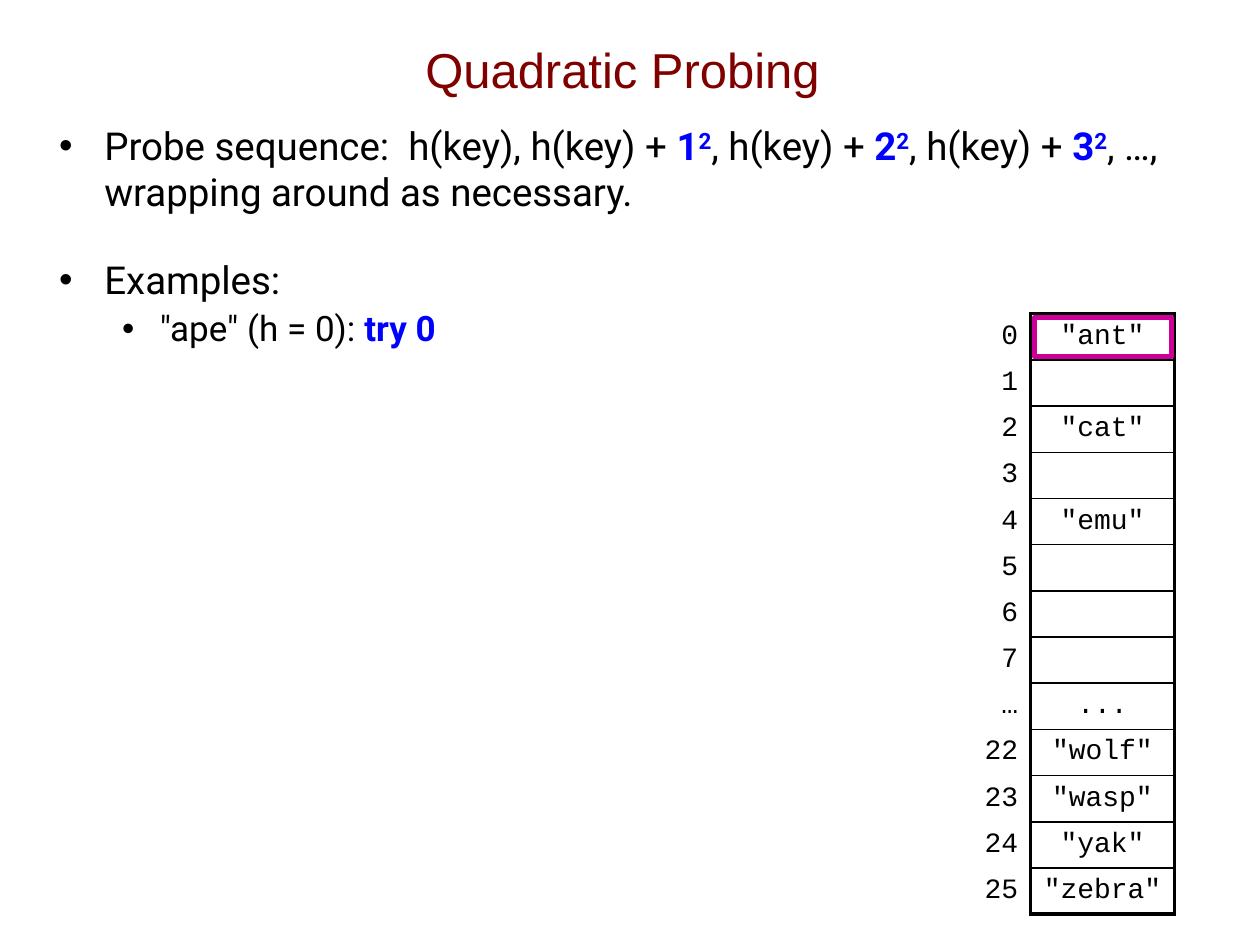
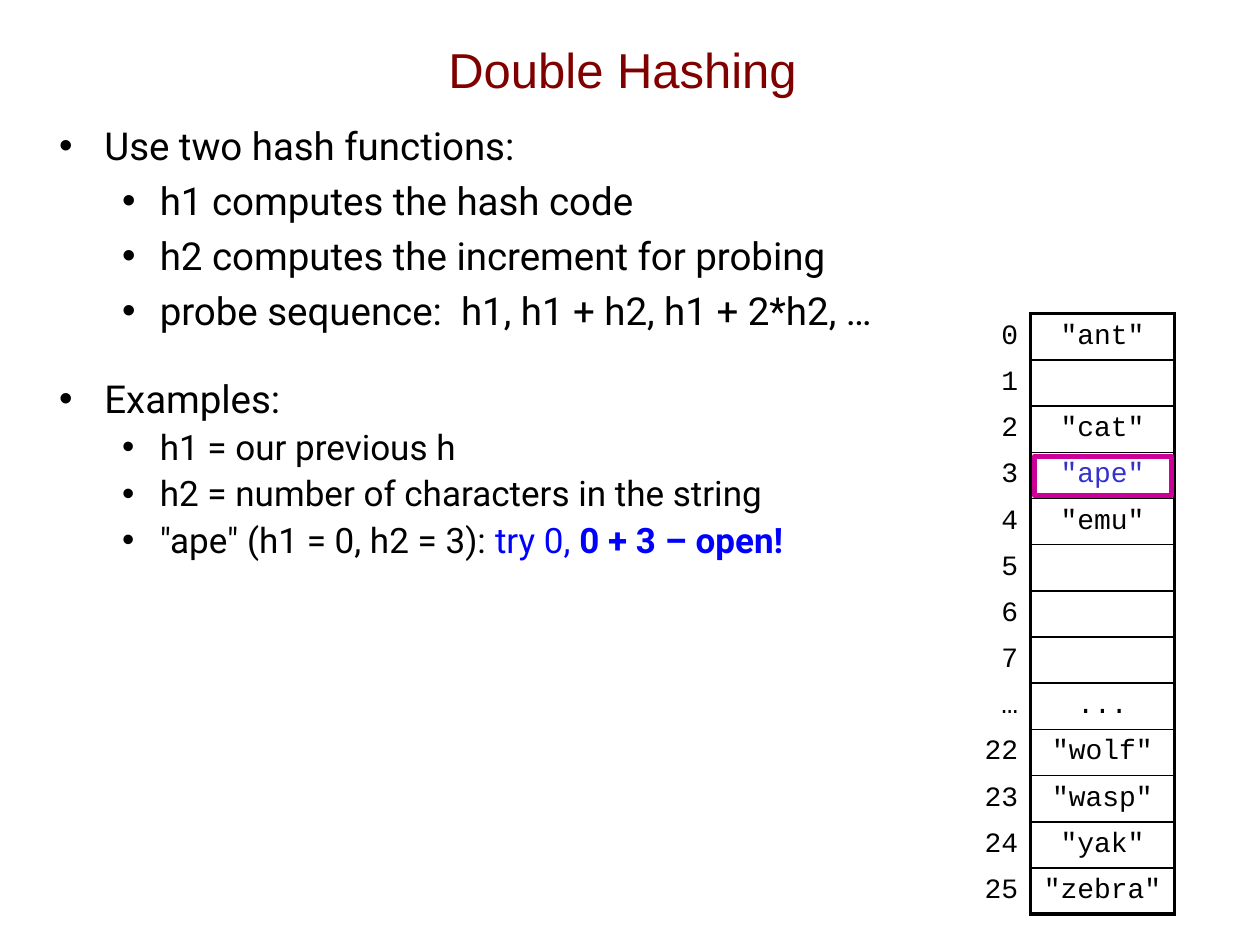
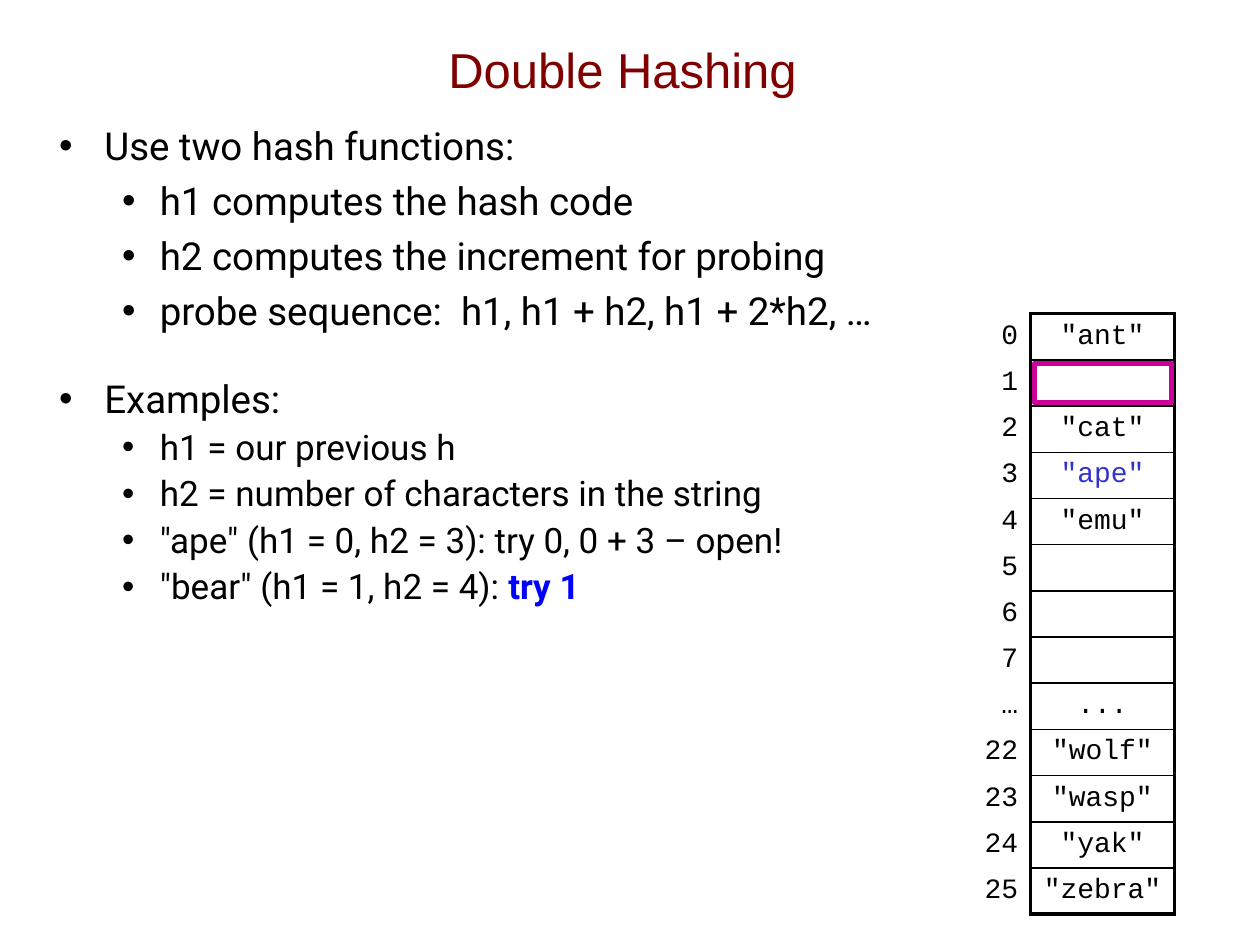
"""Build three slides on quadratic probing and double hashing."""
from lxml import etree
from pptx import Presentation
from pptx.dml.color import RGBColor
from pptx.enum.shapes import MSO_SHAPE
from pptx.enum.text import MSO_ANCHOR, PP_ALIGN
from pptx.oxml.ns import qn
from pptx.util import Inches, Pt

RECTANGLE = MSO_SHAPE.RECTANGLE
MIDDLE = MSO_ANCHOR.MIDDLE
CENTER, RIGHT = PP_ALIGN.CENTER, PP_ALIGN.RIGHT

COLORS = {
    "title": "800000",
    "text": "000000",
    "emphasis": "0000FF",
    "inserted": "3333CC",
    "probe": "CC0099",
}
TITLE_LAYOUT = 5
TABLE_LEFT, TABLE_TOP = 7.03, 2.49
ROW_HEIGHT = 4.77 / 13
COLUMN_WIDTHS = (1.15, 1.14)
THICK, THIN = 2.25, 1

INDEXES = ["0", "1", "2", "3", "4", "5", "6", "7", "…", "22", "23", "24", "25"]
WORDS = {"0": "ant", "2": "cat", "4": "emu", "22": "wolf", "23": "wasp",
         "24": "yak", "25": "zebra"}

# kind: (level, left margin, hanging indent, space before, line spacing, size)
KINDS = {
    "opening": (0, 0.36, 0.36, 0, 1, 22),
    "point": (1, 0.8, 0.3, 5, 1, 22),
    "examples": (0, 0.36, 0.36, 24, 1, 22),
    "example": (1, 0.8, 0.3, 5, 0.9, 20),
}
EXAMPLES = ("examples", [("Examples:", "plain")])
PROBE_SEQUENCE = [("Probe sequence:  h(key)", "plain")]
for step in "123":
    PROBE_SEQUENCE += [(", h(key) + ", "plain"), (step, "bold"), ("2", "power")]
PROBE_SEQUENCE.append((", …,\vwrapping around as necessary.", "plain"))
DOUBLE_HASHING = [
    ("opening", [("Use two hash functions:", "plain")]),
    ("point", [("h1 computes the hash code", "plain")]),
    ("point", [("h2 computes the increment for probing", "plain")]),
    ("point", [("probe sequence:  h1, h1 + h2, h1 + 2*h2, …", "plain")]),
    EXAMPLES,
    ("example", [("h1 = our previous h", "plain")]),
    ("example", [("h2 = number of characters in the string", "plain")]),
]
APE = '"ape" (h1 = 0, h2 = 3): '

SLIDES = [
    {"title": "Quadratic Probing", "body_width": 9.49, "probed": 0, "inserted": {},
     "body": [("opening", PROBE_SEQUENCE), EXAMPLES,
              ("example", [('"ape" (h = 0): ', "plain"), ("try 0", "bold")])]},
    {"title": "Double Hashing", "body_width": 9.25, "probed": 3,
     "inserted": {"3": "ape"},
     "body": DOUBLE_HASHING + [
         ("example", [(APE, "plain"), ("try 0, ", "blue"),
                      ("0 + 3 – open!", "bold")])]},
    {"title": "Double Hashing", "body_width": 9.25, "probed": 1,
     "inserted": {"3": "ape"},
     "body": DOUBLE_HASHING + [
         ("example", [(APE + "try 0, 0 + 3 – open!", "plain")]),
         ("example", [('"bear" (h1 = 1, h2 = 4): ', "plain"), ("try 1", "bold")])]},
]


def set_font(font, name, size, color):
    """Set the typeface, size and colour of a font."""
    font.name = name
    font.size = Pt(size)
    font.color.rgb = RGBColor.from_string(COLORS[color])


def add_border(cell, side, width):
    """Draw one side of a table cell in the text colour."""
    properties = cell._tc.get_or_add_tcPr()
    line = etree.SubElement(properties, qn(f"a:ln{side}"), w=str(Pt(width)))
    fill = etree.SubElement(line, qn("a:solidFill"))
    etree.SubElement(fill, qn("a:srgbClr"), val=COLORS["text"])


presentation = Presentation()
presentation.slide_width = Inches(10)
presentation.slide_height = Inches(7.5)

for content in SLIDES:
    slide = presentation.slides.add_slide(presentation.slide_layouts[TITLE_LAYOUT])

    title = slide.shapes.title
    title.left, title.top = Inches(0.64), Inches(0.08)
    title.width, title.height = Inches(8.6), Inches(0.93)
    title.text_frame.text = content["title"]
    title.text_frame.vertical_anchor = MIDDLE
    paragraph = title.text_frame.paragraphs[0]
    paragraph.alignment = CENTER
    set_font(paragraph.runs[0].font, "Arial", 28, "title")

    body = slide.shapes.add_textbox(
        Inches(0.37), Inches(0.92), Inches(content["body_width"]), Inches(6.14))
    text_frame = body.text_frame
    text_frame.word_wrap = True
    for number, (kind, pieces) in enumerate(content["body"]):
        level, margin, hanging, space, spacing, size = KINDS[kind]
        paragraph = text_frame.add_paragraph() if number else text_frame.paragraphs[0]
        paragraph.level = level
        paragraph.space_before = Pt(space)
        paragraph.line_spacing = spacing
        properties = paragraph._p.get_or_add_pPr()
        properties.set("marL", str(Inches(margin)))
        properties.set("indent", str(-Inches(hanging)))
        bullet_color = etree.SubElement(properties, qn("a:buClr"))
        etree.SubElement(bullet_color, qn("a:srgbClr"), val=COLORS["text"])
        etree.SubElement(properties, qn("a:buFont"), typeface="Arial")
        etree.SubElement(properties, qn("a:buChar"), char="•")
        for text, style in pieces:
            for part_number, part in enumerate(text.split("\v")):
                if part_number:
                    paragraph.add_line_break()
                run = paragraph.add_run()
                run.text = part
                color = "text" if style == "plain" else "emphasis"
                set_font(run.font, "Roboto", size, color)
                run.font.bold = style in ("bold", "power")
                if style == "power":
                    run._r.get_or_add_rPr().set("baseline", "30000")

    table = slide.shapes.add_table(
        len(INDEXES), 2, Inches(TABLE_LEFT), Inches(TABLE_TOP),
        Inches(sum(COLUMN_WIDTHS)), Inches(ROW_HEIGHT * len(INDEXES))).table
    table.first_row = False
    table.horz_banding = False
    for column, width in zip(table.columns, COLUMN_WIDTHS):
        column.width = Inches(width)
    words = WORDS | content["inserted"]
    for row, index in enumerate(INDEXES):
        table.rows[row].height = Inches(ROW_HEIGHT)
        index_cell, word_cell = table.cell(row, 0), table.cell(row, 1)
        index_cell.text_frame.text = index
        if index in words:
            word_cell.text_frame.text = f'"{words[index]}"'
        elif index == "…":
            word_cell.text_frame.text = "..."

        add_border(index_cell, "R", THICK)
        add_border(word_cell, "L", THICK)
        add_border(word_cell, "R", THICK)
        add_border(word_cell, "T", THIN if row else THICK)
        add_border(word_cell, "B", THIN if row < len(INDEXES) - 1 else THICK)

        word_color = "inserted" if index in content["inserted"] else "text"
        for cell, alignment, color in ((index_cell, RIGHT, "text"),
                                       (word_cell, CENTER, word_color)):
            cell.fill.background()
            cell.vertical_anchor = MIDDLE
            cell.margin_top = cell.margin_bottom = 0
            paragraph = cell.text_frame.paragraphs[0]
            paragraph.alignment = alignment
            for run in paragraph.runs:
                set_font(run.font, "Courier New", 16, color)

    probe_frame = slide.shapes.add_shape(
        RECTANGLE, Inches(8.21), Inches(2.52 + content["probed"] * ROW_HEIGHT),
        Inches(1.09), Inches(0.31))
    probe_frame.shadow.inherit = False
    probe_frame.fill.background()
    probe_frame.line.color.rgb = RGBColor.from_string(COLORS["probe"])
    probe_frame.line.width = Pt(3)

presentation.save("out.pptx")
